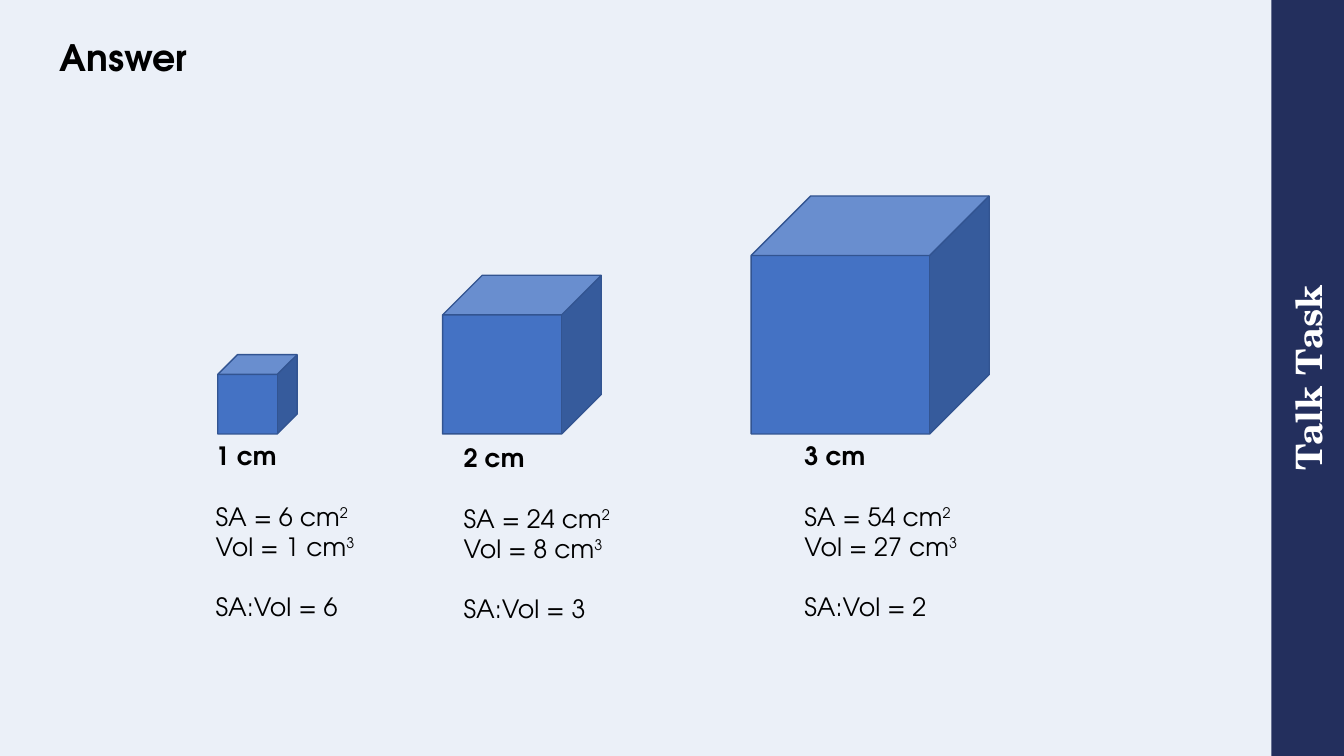
"""Build the answer slide comparing surface area and volume of three cubes."""
from pptx import Presentation
from pptx.dml.color import RGBColor
from pptx.enum.shapes import MSO_SHAPE
from pptx.enum.text import MSO_ANCHOR, MSO_AUTO_SIZE, PP_ALIGN
from pptx.util import Inches, Pt

PALE = RGBColor(0xEB, 0xF0, 0xF8)
NAVY = RGBColor(0x23, 0x2F, 0x5D)
BLUE = RGBColor(0x44, 0x72, 0xC4)
EDGE = RGBColor(0x32, 0x54, 0x91)
BLACK = RGBColor(0, 0, 0)
WHITE = RGBColor(0xFF, 0xFF, 0xFF)
SANS = "TeX Gyre Adventor"
SERIF = "TeX Gyre Schola"


def add_run(p, text, size=18, font=SANS, color=BLACK, bold=False, raised=False):
    r = p.add_run()
    r.text = text
    r.font.size = Pt(size)
    r.font.name = font
    r.font.color.rgb = color
    r.font.bold = bold
    if raised:
        r.font._element.set("baseline", "30000")


prs = Presentation()
prs.slide_width, prs.slide_height = Inches(13.33), Inches(7.5)
s = prs.slides.add_slide(prs.slide_layouts[5])
s.background.fill.solid()
s.background.fill.fore_color.rgb = PALE

title = s.shapes.title
title.left, title.top = Inches(0.59), Inches(0)
title.width, title.height = Inches(11.61), Inches(0.79)
banner = s.shapes.add_shape(MSO_SHAPE.RECTANGLE, Inches(9.22), Inches(3.39), Inches(7.5), Inches(0.72))
banner.rotation = 270
banner.shadow.inherit = False
banner.fill.solid()
banner.fill.fore_color.rgb = NAVY
banner.line.fill.background()

for sp, text, font, color, align, anchor in (
    (title, "Answer", SANS, BLACK, PP_ALIGN.LEFT, MSO_ANCHOR.BOTTOM),
    (banner, "Talk Task", SERIF, WHITE, PP_ALIGN.CENTER, MSO_ANCHOR.MIDDLE),
):
    tf = sp.text_frame
    tf.auto_size = MSO_AUTO_SIZE.NONE
    tf.word_wrap = True
    tf.margin_left = tf.margin_top = tf.margin_right = tf.margin_bottom = 0
    tf.vertical_anchor = anchor
    p = tf.paragraphs[0]
    p.alignment = align
    add_run(p, text, size=26, font=font, color=color, bold=True)
title.text_frame.paragraphs[0].line_spacing = 0.9

CUBE_BOTTOM = 4.305
CUBE_UNIT = 0.787
cubes = [
    (1, 2.16, 2.04, 4.32, 1.71),
    (2, 4.39, 4.5, 4.34, 2.33),
    (3, 7.45, 7.88, 4.32, 2.68),
]
for side, cube_x, text_x, text_y, text_w in cubes:
    group = s.shapes.add_group_shape()
    size = side * CUBE_UNIT
    cube = group.shapes.add_shape(
        MSO_SHAPE.CUBE, Inches(cube_x), Inches(CUBE_BOTTOM - size), Inches(size), Inches(size))
    cube.shadow.inherit = False
    cube.fill.solid()
    cube.fill.fore_color.rgb = BLUE
    cube.line.color.rgb = EDGE
    cube.line.width = Pt(1)

    box = group.shapes.add_textbox(Inches(text_x), Inches(text_y), Inches(text_w), Inches(2.12))
    tf = box.text_frame
    tf.word_wrap = True
    area, volume = 6 * side ** 2, side ** 3
    lines = [
        (f"{side} cm", "", 0),
        (f"SA = {area} cm", "2", 21.6),
        (f"Vol = {volume} cm", "3", 0),
        (f"SA:Vol = {area // volume}", "", 21.6),
    ]
    for i, (text, power, gap) in enumerate(lines):
        p = tf.add_paragraph() if i else tf.paragraphs[0]
        p.space_before = Pt(gap)
        add_run(p, text, bold=i == 0)
        if power:
            add_run(p, power, raised=True)

prs.save("out.pptx")
